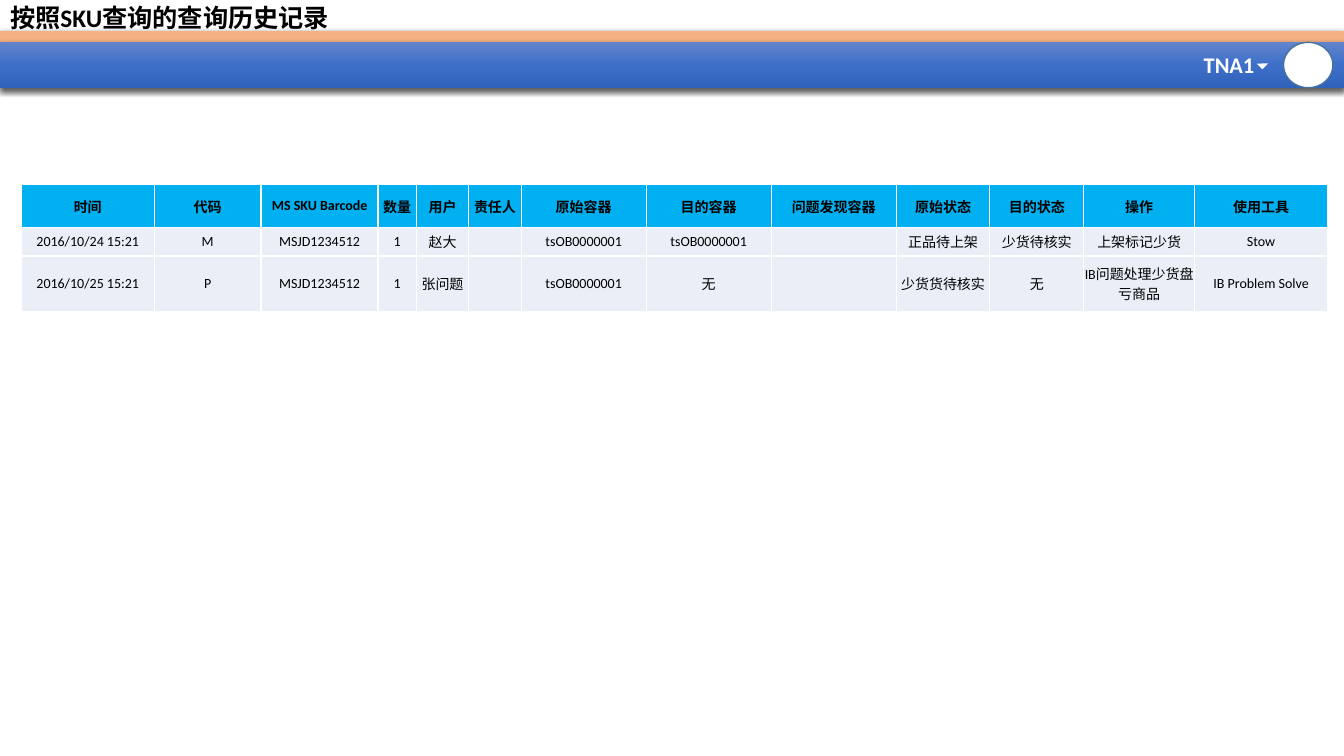
from lxml.etree import SubElement
from pptx import Presentation
from pptx.dml.color import RGBColor
from pptx.enum.shapes import MSO_SHAPE
from pptx.enum.text import MSO_ANCHOR, MSO_AUTO_SIZE, PP_ALIGN
from pptx.oxml.ns import qn
from pptx.util import Emu, Pt

PX = 9144
WHITE = RGBColor(0xFF, 0xFF, 0xFF)
BLACK = RGBColor(0x00, 0x00, 0x00)
ORANGE = RGBColor(0xF4, 0xB1, 0x83)
CIRCLE_LINE = RGBColor(0x43, 0x73, 0x9E)
HEADER_BLUE = RGBColor(0x00, 0xB0, 0xF0)
ROW_GREY = RGBColor(0xEA, 0xEF, 0xF7)
BAR_STOPS = [
    (0, RGBColor(0x61, 0x83, 0xCB)),
    (50, RGBColor(0x3E, 0x70, 0xCA)),
    (100, RGBColor(0x30, 0x62, 0xBB)),
]

LATIN = "Calibri"
CHINESE = "Noto Sans CJK SC"
TITLE_FORMAT = {"name": LATIN, "size": Pt(18), "bold": True}
SITE_FORMAT = {"name": LATIN, "size": Pt(16), "bold": True}
HEADER_FORMAT = {"name": LATIN, "size": Pt(10), "bold": True}
ROW_FORMAT = {"name": LATIN, "size": Pt(10), "bold": False}
CELL_FORMAT = {
    "margin_left": 0,
    "margin_top": 0,
    "margin_right": 0,
    "margin_bottom": 0,
    "vertical_anchor": MSO_ANCHOR.MIDDLE,
}

COLUMN_WIDTHS = [132, 106, 116, 38, 52, 52, 124, 124, 124, 93, 93, 110, 132]
ROW_HEIGHTS = [43, 28, 55]
RECORDS = [
    ["时间", "代码", "MS SKU Barcode", "数量", "用户", "责任人", "原始容器",
     "目的容器", "问题发现容器", "原始状态", "目的状态", "操作", "使用工具"],
    ["2016/10/24 15:21", "M", "MSJD1234512", "1", "赵大", "", "tsOB0000001",
     "tsOB0000001", "", "正品待上架", "少货待核实", "上架标记少货", "Stow"],
    ["2016/10/25 15:21", "P", "MSJD1234512", "1", "张问题", "", "tsOB0000001",
     "无", "", "少货货待核实", "无", "IB问题处理少货盘亏商品", "IB Problem Solve"],
]
CHINESE_FONT_CELLS = {(2, 7)}


def px(*lengths):
    return [Emu(length * PX) for length in lengths]


def set_format(target, values):
    for name, value in values.items():
        setattr(target, name, value)


def add_span(para, text, values, color):
    span = para.add_run()
    span.text = text
    set_format(span.font, values)
    span.font.color.rgb = color


def add_plain_shape(page, kind, place, color):
    shape = page.shapes.add_shape(kind, *px(*place))
    shape.fill.solid()
    shape.fill.fore_color.rgb = color
    shape.line.fill.background()
    shape.shadow.inherit = False
    return shape


def add_shadow(shape):
    effects = shape.element.spPr.find(qn("a:effectLst"))
    shadow = SubElement(effects, qn("a:outerShdw"), blurRad=str(Pt(4.5)),
                        dist=str(Pt(1.5)), dir="5400000", algn="ctr", rotWithShape="0")
    color = SubElement(shadow, qn("a:srgbClr"), val=str(BLACK))
    SubElement(color, qn("a:alpha"), val="63000")


def set_gradient(shape, stops):
    shape.fill.gradient()
    shape.fill.gradient_angle = 270
    stop_list = shape.element.spPr.find(qn("a:gradFill")).find(qn("a:gsLst"))
    for old_stop in list(stop_list):
        stop_list.remove(old_stop)
    for percent, color in stops:
        stop = SubElement(stop_list, qn("a:gs"), pos=str(percent * 1000))
        SubElement(stop, qn("a:srgbClr"), val=str(color))


def add_banner(page):
    stripe = add_plain_shape(page, MSO_SHAPE.RECTANGLE, (0, 31, 1333, 11), ORANGE)
    add_shadow(stripe)
    bar = add_plain_shape(page, MSO_SHAPE.RECTANGLE, (0, 42, 1333, 45), WHITE)
    set_gradient(bar, BAR_STOPS)
    add_shadow(bar)
    circle = add_plain_shape(page, MSO_SHAPE.OVAL, (1273, 42, 49, 45), WHITE)
    circle.line.color.rgb = CIRCLE_LINE
    circle.line.width = Pt(1)
    box = page.shapes.add_textbox(*px(1184, 46, 71, 37))
    box.text_frame.word_wrap = False
    box.text_frame.auto_size = MSO_AUTO_SIZE.SHAPE_TO_FIT_TEXT
    add_span(box.text_frame.paragraphs[0], "TNA1", SITE_FORMAT, WHITE)
    arrow = add_plain_shape(page, MSO_SHAPE.RIGHT_TRIANGLE, (1248, 59, 8, 8), WHITE)
    arrow.rotation = 314.5


def place_title(page, text):
    title = page.shapes.title
    title.left, title.top, title.width, title.height = px(0, -1, 1150, 40)
    frame = title.text_frame
    frame.auto_size = MSO_AUTO_SIZE.NONE
    frame.vertical_anchor = MSO_ANCHOR.MIDDLE
    para = frame.paragraphs[0]
    para.alignment = PP_ALIGN.LEFT
    para.line_spacing = 0.9
    add_span(para, text, TITLE_FORMAT, BLACK)
    page.shapes.element.append(title.element)


def add_borders(cell):
    properties = cell._tc.get_or_add_tcPr()
    for position, side in enumerate(("lnL", "lnR", "lnT", "lnB")):
        border = SubElement(properties, qn(f"a:{side}"), w=str(Pt(1)))
        fill = SubElement(border, qn("a:solidFill"))
        SubElement(fill, qn("a:srgbClr"), val=str(WHITE))
        properties.insert(position, border)


def fill_cell(cell, text, values, color):
    set_format(cell, CELL_FORMAT)
    cell.fill.solid()
    cell.fill.fore_color.rgb = color
    add_borders(cell)
    para = cell.text_frame.paragraphs[0]
    para.alignment = PP_ALIGN.CENTER
    if text:
        add_span(para, text, values, BLACK)
    else:
        SubElement(para._p, qn("a:endParaRPr"), sz="1000")


def add_history_table(page):
    place = px(21, 183, sum(COLUMN_WIDTHS), sum(ROW_HEIGHTS))
    table = page.shapes.add_table(len(RECORDS), len(COLUMN_WIDTHS), *place).table
    for column, width in zip(table.columns, px(*COLUMN_WIDTHS)):
        column.width = width
    for row, height in zip(table.rows, px(*ROW_HEIGHTS)):
        row.height = height
    for i, record in enumerate(RECORDS):
        values, color = (ROW_FORMAT, ROW_GREY) if i else (HEADER_FORMAT, HEADER_BLUE)
        for j, text in enumerate(record):
            font = CHINESE if (i, j) in CHINESE_FONT_CELLS else LATIN
            fill_cell(table.cell(i, j), text, {**values, "name": font}, color)


def main():
    deck = Presentation()
    deck.slide_width, deck.slide_height = px(1333, 750)
    page = deck.slides.add_slide(deck.slide_layouts[5])
    add_banner(page)
    place_title(page, "按照SKU查询的查询历史记录")
    add_history_table(page)
    deck.save("out.pptx")


if __name__ == "__main__":
    main()
